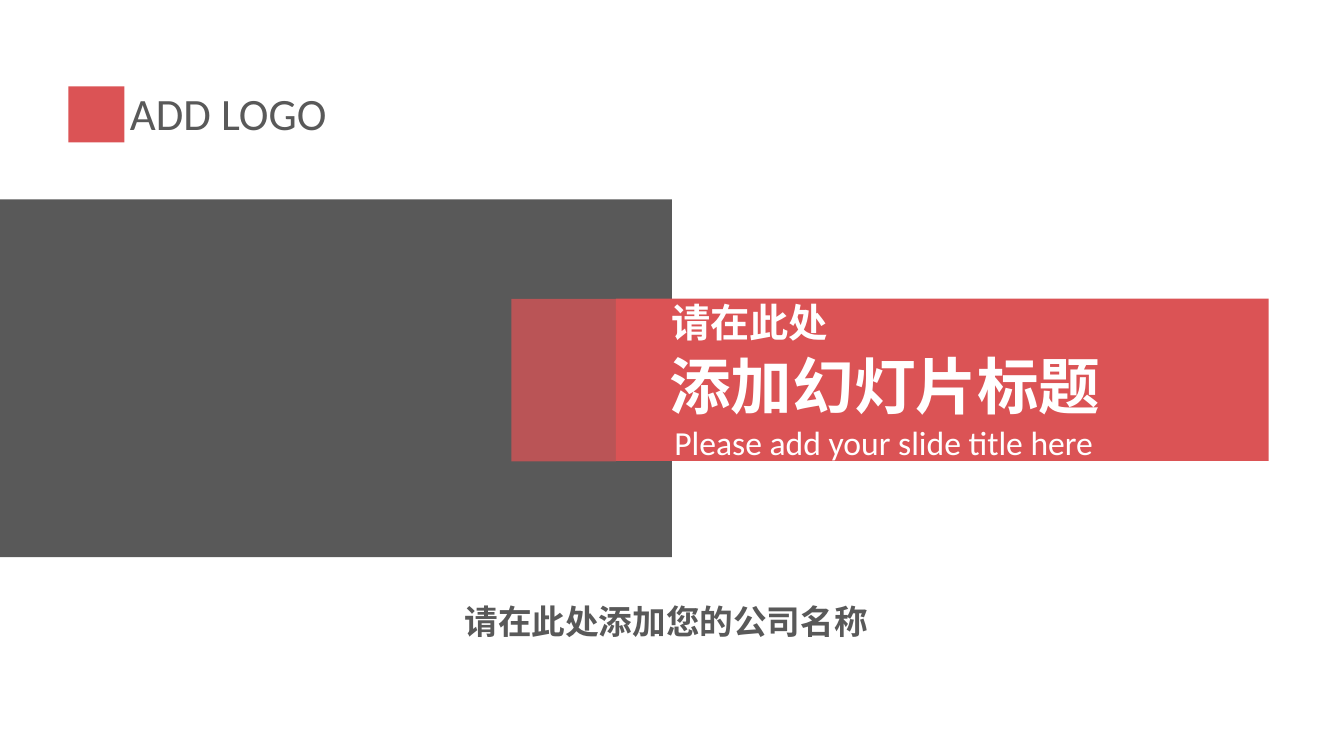
from pptx import Presentation
from pptx.dml.color import RGBColor
from pptx.enum.shapes import MSO_SHAPE
from pptx.enum.text import MSO_ANCHOR, MSO_AUTO_SIZE, PP_ALIGN
from pptx.oxml import parse_xml
from pptx.oxml.ns import nsdecls
from pptx.util import Pt

RED = "DB5355"
GRAY = "595959"
WHITE = "FFFFFF"
LATIN = "Calibri"
CJK = "Noto Sans CJK SC"


def rgb(value):
    return RGBColor.from_string(value)


def place(sp, x, y, w, h):
    sp.left, sp.top, sp.width, sp.height = Pt(x), Pt(y), Pt(w), Pt(h)
    sp.element.getparent().append(sp.element)


def add_rect(s, x, y, w, h, color, alpha=100):
    sp = s.shapes.add_shape(MSO_SHAPE.RECTANGLE, Pt(x), Pt(y), Pt(w), Pt(h))
    sp.shadow.inherit = False
    sp.fill.solid()
    sp.fill.fore_color.rgb = rgb(color)
    sp.line.fill.background()
    if alpha < 100:
        clr = sp.fill._xPr.solidFill[0]
        clr.append(parse_xml(f'<a:alpha {nsdecls("a")} val="{alpha * 1000}"/>'))


def write(sp, text, size=24, color=WHITE, font=LATIN, bold=False):
    tf = sp.text_frame
    tf.word_wrap = True
    tf.auto_size = MSO_AUTO_SIZE.SHAPE_TO_FIT_TEXT
    tf.vertical_anchor = MSO_ANCHOR.TOP
    p = tf.paragraphs[0]
    p.alignment = PP_ALIGN.LEFT
    p.space_before = Pt(0)
    r = p.add_run()
    r.text = text
    r.font.size = Pt(size)
    r.font.bold = bold
    r.font.name = font
    r.font.color.rgb = rgb(color)
    r.font._rPr.append(parse_xml(f'<a:ea {nsdecls("a")} typeface="{font}"/>'))


def add_text(s, x, y, w, h, text, **fmt):
    sp = s.shapes.add_textbox(Pt(x), Pt(y), Pt(w), Pt(h))
    write(sp, text, **fmt)


def main():
    prs = Presentation()
    prs.slide_width, prs.slide_height = Pt(960), Pt(540)
    s = prs.slides.add_slide(prs.slide_layouts[0])
    title, subtitle = s.placeholders

    add_rect(s, 0, 142.5, 480, 255.5, GRAY)
    add_rect(s, 440, 213.3, 466.3, 116, RED)
    add_rect(s, 365.2, 213.6, 74.8, 116, RED, alpha=75)
    add_rect(s, 48.8, 61.7, 40, 40, RED)

    add_text(s, 85.7, 57.6, 202.3, 46.1, "ADD LOGO", size=32, color=GRAY)
    add_text(s, 472.3, 209.5, 130.3, 41, "请在此处", size=28, font=CJK, bold=True)

    place(title, 470.9, 244.8, 374.4, 60.5)
    write(title, "添加幻灯片标题", size=44, font=CJK, bold=True)
    place(subtitle, 474.5, 298.1, 374.4, 36)
    write(subtitle, "Please add your slide title here")

    add_text(s, 324.7, 425.5, 309.6, 36, "请在此处添加您的公司名称",
             color=GRAY, font=CJK, bold=True)
    prs.save("out.pptx")


main()
